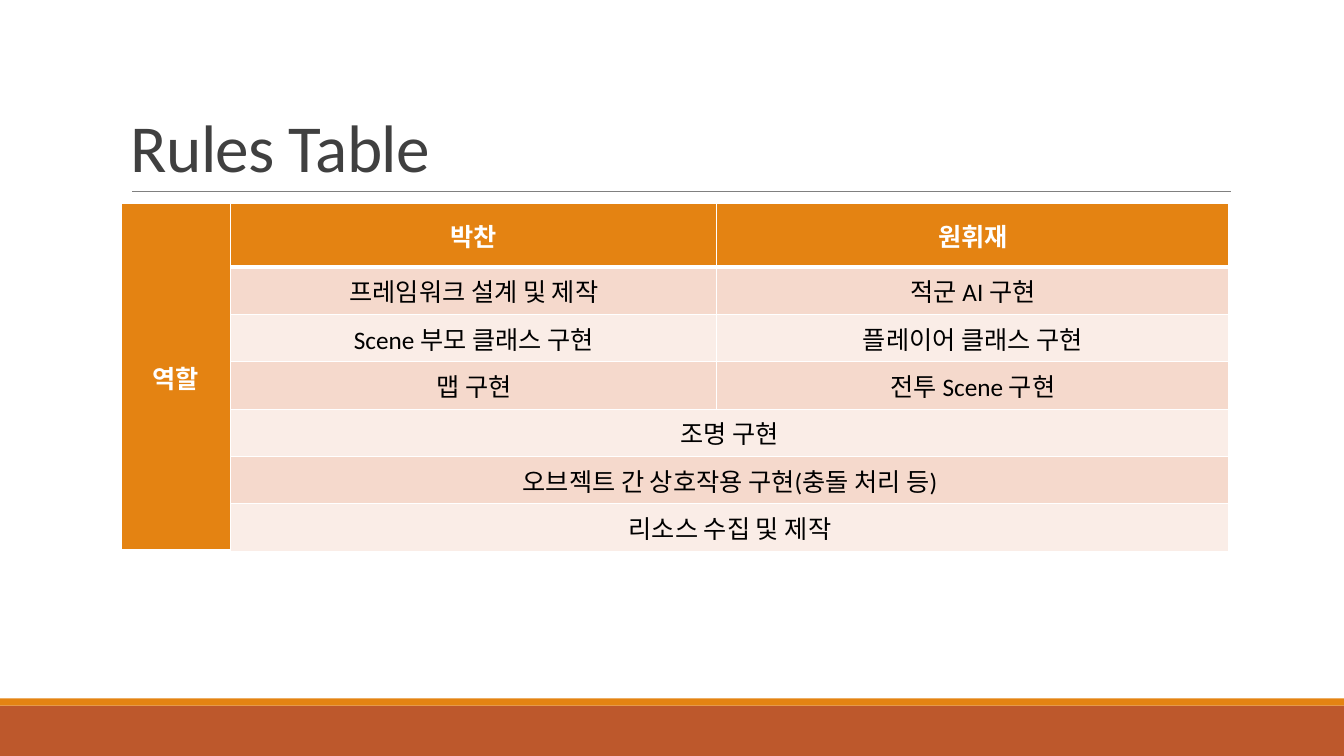
import pptx
import pptx.util
import pptx.dml.color
import pptx.enum.shapes
import pptx.enum.text
import pptx.oxml
import pptx.oxml.ns

Inches = pptx.util.Inches
Pt = pptx.util.Pt
RGBColor = pptx.dml.color.RGBColor
MIDDLE = pptx.enum.text.MSO_ANCHOR.MIDDLE
CENTER = pptx.enum.text.PP_ALIGN.CENTER

ORANGE = RGBColor(0xE4, 0x83, 0x12)
RUST = RGBColor(0xBD, 0x58, 0x2C)
GRAY = RGBColor(0x80, 0x80, 0x80)
DARK = RGBColor(0x40, 0x40, 0x40)
WHITE = RGBColor(0xFF, 0xFF, 0xFF)
BLACK = RGBColor(0, 0, 0)
BANDS = [RGBColor(0xF5, 0xD9, 0xCC), RGBColor(0xFA, 0xED, 0xE7)]

WIDTH, HEIGHT = 13.33, 7.5
COLUMNS = [1.09, 4.82, 5.08]
ROWS = [0.63] + [0.47] * 6
ROLES = [
    ["역할", "박찬", "원휘재"],
    ["", "프레임워크 설계 및 제작", "적군 AI 구현"],
    ["", "Scene 부모 클래스 구현", "플레이어 클래스 구현"],
    ["", "맵 구현", "전투 Scene 구현"],
    ["", "조명 구현", ""],
    ["", "오브젝트 간 상호작용 구현(충돌 처리 등)", ""],
    ["", "리소스 수집 및 제작", ""],
]


def write(p, text, size, color, bold=False):
    r = p.add_run()
    r.text = text
    for name, value in {"name": "Calibri", "size": Pt(size), "bold": bold}.items():
        setattr(r.font, name, value)
    r.font.color.rgb = color
    return r


def add_footer(s, left, top, width, height):
    stripe = 0.07
    for y, h, color in [(top + stripe, height - stripe, RUST), (top, stripe, ORANGE)]:
        sp = s.shapes.add_shape(pptx.enum.shapes.MSO_SHAPE.RECTANGLE,
                                Inches(left), Inches(y), Inches(width), Inches(h))
        sp.shadow.inherit = False
        sp.fill.solid()
        sp.fill.fore_color.rgb = color
        sp.line.fill.background()


def add_title(s, left, top, width, height):
    bottom = top + height
    rule = s.shapes.add_connector(pptx.enum.shapes.MSO_CONNECTOR.STRAIGHT,
                                  Inches(left + 0.11), Inches(bottom),
                                  Inches(left + width + 0.01), Inches(bottom))
    rule.line.color.rgb = GRAY
    rule.line.width = Pt(0.5)
    rule._element.spPr.append(pptx.oxml.parse_xml(
        f"<a:effectLst {pptx.oxml.ns.nsdecls('a')}/>"))
    tf = s.shapes.add_textbox(Inches(left), Inches(top), Inches(width), Inches(height)).text_frame
    tf.word_wrap = True
    tf.vertical_anchor = pptx.enum.text.MSO_ANCHOR.BOTTOM
    p = tf.paragraphs[0]
    p.line_spacing = 0.85
    r = write(p, "Rules Table", 48, DARK)
    r.font._element.set("spc", "-50")


def set_borders(cell, **widths):
    tcPr = cell._tc.get_or_add_tcPr()
    for side in "LRTB":
        tcPr.append(pptx.oxml.parse_xml(
            f'<a:ln{side} {pptx.oxml.ns.nsdecls("a")} w="{Pt(widths.get(side, 1))}">'
            f'<a:solidFill><a:srgbClr val="{WHITE}"/></a:solidFill></a:ln{side}>'))


def add_roles(s, left, top, width, height):
    table = s.shapes.add_table(len(ROWS), len(COLUMNS), Inches(left), Inches(top),
                               Inches(width), Inches(height)).table
    for column, w in zip(table.columns, COLUMNS):
        column.width = Inches(w)
    for row, h in zip(table.rows, ROWS):
        row.height = Inches(h)
    for i, row in enumerate(ROLES):
        for j, text in enumerate(row):
            cell = table.cell(i, j)
            header = i == 0 or j == 0
            set_borders(cell, **({"B": 3} if i == 0 else {"T": 3} if i == 1 and j else {}))
            cell.fill.solid()
            cell.fill.fore_color.rgb = ORANGE if header else BANDS[(i - 1) % 2]
            cell.vertical_anchor = MIDDLE
            if text:
                p = cell.text_frame.paragraphs[0]
                p.alignment = CENTER
                write(p, text, 18, WHITE if header else BLACK, header)
    table.cell(0, 0).merge(table.cell(len(ROWS) - 1, 0))
    for i in range(4, len(ROWS)):
        table.cell(i, 1).merge(table.cell(i, 2))


def main():
    prs = pptx.Presentation()
    prs.slide_width = Inches(WIDTH)
    prs.slide_height = Inches(HEIGHT)
    s = prs.slides.add_slide(prs.slide_layouts[6])
    add_footer(s, 0, 6.93, WIDTH, 0.57)
    add_title(s, 1.2, 0.31, 11, 1.59)
    add_roles(s, 1.2, 2.02, sum(COLUMNS), sum(ROWS))
    prs.save("out.pptx")


if __name__ == "__main__":
    main()
